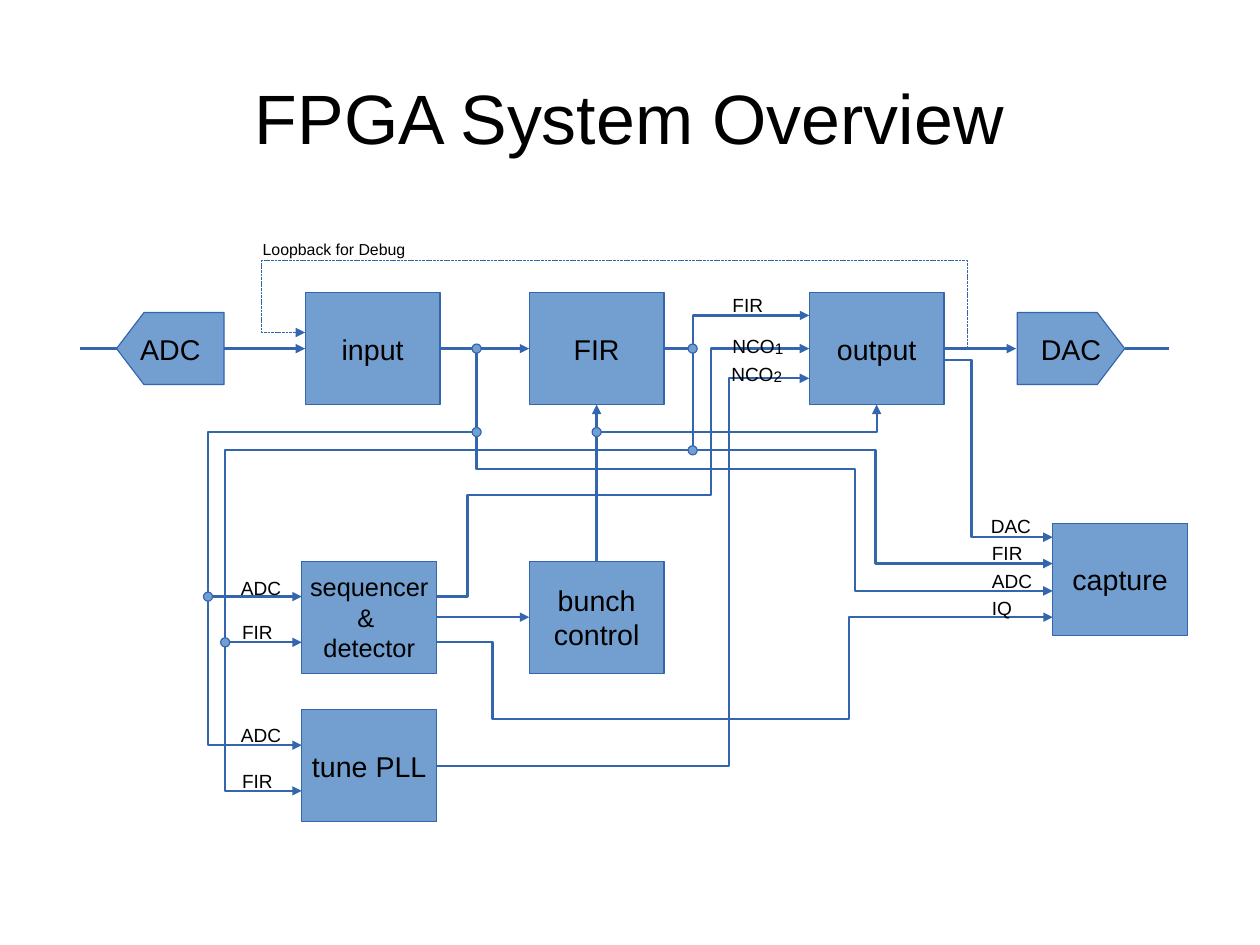
"""Build the FPGA system overview block diagram slide."""
from lxml import etree
from pptx import Presentation
from pptx.dml.color import RGBColor
from pptx.enum.dml import MSO_LINE
from pptx.enum.shapes import MSO_CONNECTOR, MSO_SHAPE
from pptx.enum.text import MSO_ANCHOR, MSO_AUTO_SIZE, PP_ALIGN
from pptx.oxml.ns import qn
from pptx.util import Cm, Inches, Pt

STRAIGHT = MSO_CONNECTOR.STRAIGHT
RECTANGLE, OVAL = MSO_SHAPE.RECTANGLE, MSO_SHAPE.OVAL
DOTTED = MSO_LINE.SQUARE_DOT
MIDDLE, CENTER, LEFT = MSO_ANCHOR.MIDDLE, PP_ALIGN.CENTER, PP_ALIGN.LEFT
FIT_SHAPE = MSO_AUTO_SIZE.SHAPE_TO_FIT_TEXT
TOP, LEFT_SIDE, BOTTOM, RIGHT_SIDE = range(4)

FONT = "Arial"
COLORS = {"fill": "729FCF", "line": "3465AF", "text": "000000"}
BLOCK_WIDTH, BLOCK_HEIGHT = 1.18, 0.98
TIP_WIDTH, TIP_HEIGHT, TIP_DEPTH = 0.94, 0.63, 0.24
DOT = 0.08
SIGNAL_Y = 3.05
SEQUENCER, BUNCH = "sequencer\n& \ndetector", "bunch\ncontrol"

BLOCKS = {
    "input": (2.67, 2.56, 18),
    "FIR": (4.63, 2.56, 18),
    "output": (7.08, 2.56, 18),
    BUNCH: (4.63, 4.91, 18),
    "capture": (9.21, 4.58, 18),
    SEQUENCER: (2.64, 4.91, 16),
    "tune PLL": (2.64, 6.21, 18),
}
# Each straight wire: start, end, arrow, block and side at start, at end.
STRAIGHT_WIRES = [
    ((1.02, SIGNAL_Y), (0.7, SIGNAL_Y), False, None, None),
    ((9.84, SIGNAL_Y), (10.23, SIGNAL_Y), False, None, None),
    ((1.96, SIGNAL_Y), (2.67, SIGNAL_Y), True, None, ("input", LEFT_SIDE)),
    ((3.85, SIGNAL_Y), (4.13, SIGNAL_Y), False, ("input", RIGHT_SIDE), None),
    ((4.21, SIGNAL_Y), (4.63, SIGNAL_Y), True, None, ("FIR", LEFT_SIDE)),
    ((5.81, SIGNAL_Y), (6.02, SIGNAL_Y), False, ("FIR", RIGHT_SIDE), None),
    ((8.26, SIGNAL_Y), (8.89, SIGNAL_Y), True, ("output", RIGHT_SIDE), None),
    ((4.17, 3.74), (4.17, 3.09), False, None, None),
    ((6.06, 3.9), (6.06, 3.09), False, None, None),
    ((5.22, 4.91), (5.22, 3.82), False, (BUNCH, TOP), None),
    ((5.22, 3.74), (5.22, 3.54), True, None, ("FIR", BOTTOM)),
    ((3.82, 5.4), (4.63, 5.4), True, (SEQUENCER, RIGHT_SIDE), (BUNCH, LEFT_SIDE)),
    ((1.86, 5.22), (2.64, 5.22), True, None, None),
    ((2.01, 5.62), (2.64, 5.62), True, None, None),
]
BENT_WIRES = [
    ([(6.06, 3.01), (6.06, 2.76), (7.08, 2.76)], True),
    ([(5.26, 3.78), (7.67, 3.78), (7.67, 3.54)], True),
    ([(3.82, 6.7), (6.38, 6.7), (6.38, 3.31), (7.08, 3.31)], True),
    ([(3.82, 5.22), (4.09, 5.22), (4.09, 4.33), (6.22, 4.33),
      (6.22, SIGNAL_Y), (7.08, SIGNAL_Y)], True),
    ([(8.26, 3.15), (8.5, 3.15), (8.5, 4.7), (9.21, 4.7)], True),
    ([(6.1, 3.94), (7.66, 3.94), (7.66, 4.93), (9.21, 4.93)], True),
    ([(4.17, 3.82), (4.17, 4.1), (7.48, 4.1), (7.48, 5.17), (9.21, 5.17)], True),
    ([(3.82, 5.62), (4.31, 5.62), (4.31, 6.29), (7.43, 6.29),
      (7.43, 5.4), (9.21, 5.4)], True),
    ([(4.13, 3.78), (1.82, 3.78), (1.82, 5.19)], False),
    ([(6.02, 3.94), (1.97, 3.94), (1.97, 5.58)], False),
    ([(1.82, 5.26), (1.82, 6.52), (2.64, 6.52)], True),
    ([(1.97, 5.66), (1.97, 6.92), (2.64, 6.92)], True),
]
LOOPBACK = [(8.46, SIGNAL_Y), (8.46, 2.28), (2.29, 2.28), (2.29, 2.91), (2.67, 2.91)]
JUNCTIONS = [(4.17, 3.05), (6.06, 3.05), (4.17, 3.78), (5.22, 3.78),
             (6.06, 3.94), (1.82, 5.22), (1.97, 5.62)]
LABELS = [
    ("FIR", 6.31, 2.52, 0.47), ("NCO", 6.31, 2.81, 0.64, "1"),
    ("NCO", 6.3, 3.06, 0.64, "2"),
    ("ADC", 2.01, 4.99, 0.55), ("FIR", 2.02, 5.38, 0.47),
    ("ADC", 2.01, 6.28, 0.55), ("FIR", 2.02, 6.68, 0.47),
    ("DAC", 8.57, 4.45, 0.55), ("FIR", 8.58, 4.69, 0.47),
    ("ADC", 8.58, 4.93, 0.55), ("IQ", 8.58, 5.17, 0.37),
]


def color(name):
    """Return a named colour."""
    return RGBColor.from_string(COLORS[name])


def write(shape, text, size, alignment):
    """Put text in a shape, one paragraph for each line."""
    frame = shape.text_frame
    frame.text = text
    frame.word_wrap = False
    for paragraph in frame.paragraphs:
        paragraph.alignment = alignment
        paragraph.font.name = FONT
        paragraph.font.size = Pt(size)
        paragraph.font.color.rgb = color("text")
    return frame


def style_solid(shape):
    """Give a shape the diagram's fill and hairline outline."""
    shape.shadow.inherit = False
    shape.fill.solid()
    shape.fill.fore_color.rgb = color("fill")
    shape.line.color.rgb = color("line")
    shape.line.width = Pt(0)


def style_wire(line, arrow, width=1.42):
    """Colour a wire and add its arrowhead."""
    line.color.rgb = color("line")
    line.width = Pt(width)
    if arrow:
        etree.SubElement(line._get_or_add_ln(), qn("a:tailEnd"), type="triangle")


def add_path(slide, points, close):
    """Draw an outline through points given in inches."""
    corners = [(Inches(x), Inches(y)) for x, y in points]
    builder = slide.shapes.build_freeform(*corners[0])
    builder.add_line_segments(corners[1:], close=close)
    shape = builder.convert_to_shape()
    shape.shadow.inherit = False
    return shape


def add_block(slide, text, left, top, size):
    """Add a processing block."""
    block = slide.shapes.add_shape(RECTANGLE, Inches(left), Inches(top),
                                   Inches(BLOCK_WIDTH), Inches(BLOCK_HEIGHT))
    style_solid(block)
    write(block, text, size, CENTER).vertical_anchor = MIDDLE
    return block


def add_converter(slide, text, tip, direction):
    """Add a pointed converter block with its tip at the given x."""
    shoulder, back = tip - direction * TIP_DEPTH, tip - direction * TIP_WIDTH
    top, bottom = SIGNAL_Y - TIP_HEIGHT / 2, SIGNAL_Y + TIP_HEIGHT / 2
    converter = add_path(slide, [(back, top), (shoulder, top), (tip, SIGNAL_Y),
                                 (shoulder, bottom), (back, bottom)], True)
    style_solid(converter)
    write(converter, text, 18, CENTER).vertical_anchor = MIDDLE


def add_straight_wire(slide, blocks, start, end, arrow, source, target):
    """Add a straight wire, joined to blocks where it meets them."""
    wire = slide.shapes.add_connector(STRAIGHT, *map(Inches, start + end))
    if source:
        wire.begin_connect(blocks[source[0]], source[1])
    if target:
        wire.end_connect(blocks[target[0]], target[1])
    style_wire(wire.line, arrow)
    etree.SubElement(wire._element.spPr, qn("a:effectLst"))


def add_bent_wire(slide, points, arrow, width=1.42, dash=None):
    """Add a wire with right-angled bends."""
    wire = add_path(slide, points, False)
    wire.fill.background()
    if dash:
        wire.line.dash_style = dash
    style_wire(wire.line, arrow, width)


def add_junction(slide, x, y):
    """Add a junction dot centred on a point."""
    dot = slide.shapes.add_shape(OVAL, Inches(x - DOT / 2), Inches(y - DOT / 2),
                                 Inches(DOT), Inches(DOT))
    style_solid(dot)


def add_label(slide, text, left, top, width, index="", size=12, height=0.29):
    """Add a signal label with an optional lowered index."""
    box = slide.shapes.add_textbox(Inches(left), Inches(top), Inches(width), Inches(height))
    frame = write(box, text, size, LEFT)
    frame.auto_size = FIT_SHAPE
    frame.margin_right = 0
    if index:
        run = frame.paragraphs[0].add_run()
        run.text = index
        run.font.size = Pt(16.6)
        run.font._element.set("baseline", "-4000")


def add_title(slide, text):
    """Add the centred slide title."""
    box = slide.shapes.add_textbox(Inches(0.55), Inches(0.33), Inches(9.92), Inches(1.38))
    frame = write(box, text, 44, CENTER)
    frame.word_wrap = True
    frame.vertical_anchor = MIDDLE
    frame.margin_left = frame.margin_right = frame.margin_top = frame.margin_bottom = 0


def main():
    """Build and save the slide."""
    presentation = Presentation()
    presentation.slide_width, presentation.slide_height = Cm(28), Cm(21)
    slide = presentation.slides.add_slide(presentation.slide_layouts[6])
    add_title(slide, "FPGA System Overview")
    blocks = {text: add_block(slide, text, *place) for text, place in BLOCKS.items()}
    add_converter(slide, "ADC", 1.02, -1)
    add_converter(slide, "DAC", 9.84, 1)
    for wire in STRAIGHT_WIRES:
        add_straight_wire(slide, blocks, *wire)
    for points, arrow in BENT_WIRES:
        add_bent_wire(slide, points, arrow)
    add_bent_wire(slide, LOOPBACK, True, 0.57, DOTTED)
    for x, y in JUNCTIONS:
        add_junction(slide, x, y)
    for label in LABELS:
        add_label(slide, *label)
    add_label(slide, "Loopback for Debug", 2.2, 2.05, 1.45, size=10, height=0.25)
    presentation.save("out.pptx")


if __name__ == "__main__":
    main()
